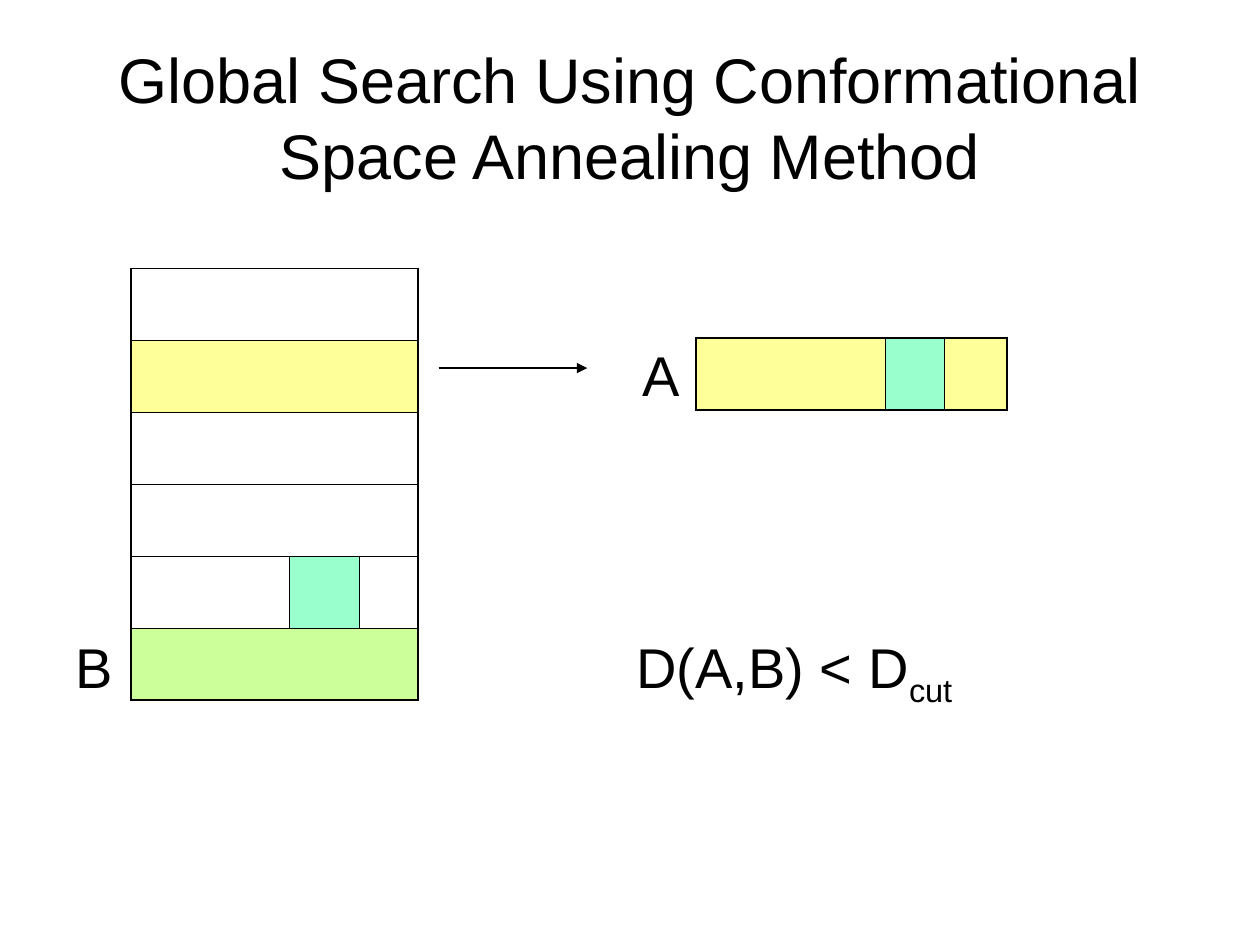
from dataclasses import dataclass

from pptx import Presentation
from pptx.dml.color import RGBColor
from pptx.enum.shapes import MSO_CONNECTOR
from pptx.enum.text import MSO_ANCHOR, MSO_AUTO_SIZE, PP_ALIGN
from pptx.oxml.ns import qn
from pptx.util import Cm, Pt
from lxml.etree import SubElement


@dataclass(frozen=True)
class Theme:
    font: str = "Arial"
    ink: str = "000000"
    yellow: str = "FFFF99"
    mint: str = "99FFCC"
    green: str = "CCFF99"
    title_size: float = 36
    text_size: float = 32
    outer_border: float = 1.08
    inner_border: float = 0.45
    arrow_width: float = 1


THEME = Theme()
ROW_HEIGHT = 1.45


def place(shape, left, top, width, height):
    shape.left, shape.top = Cm(left), Cm(top)
    shape.width, shape.height = Cm(width), Cm(height)


def add_run(paragraph, text, size, baseline=None):
    run = paragraph.add_run()
    run.text = text
    run.font.name = THEME.font
    run.font.size = Pt(size)
    run.font.color.rgb = RGBColor.from_string(THEME.ink)
    if baseline is not None:
        run.font._element.set("baseline", str(baseline))


def set_title(title, text):
    place(title, 1.27, 0.76, 22.86, 3.18)
    title.text_frame.auto_size = MSO_AUTO_SIZE.NONE
    title.text_frame.vertical_anchor = MSO_ANCHOR.MIDDLE
    paragraph = title.text_frame.paragraphs[0]
    paragraph.alignment = PP_ALIGN.CENTER
    add_run(paragraph, text, THEME.title_size)


def set_condition(body, text, subscript):
    place(body, 1.27, 4.45, 22.86, 12.57)
    frame = body.text_frame
    frame.auto_size = MSO_AUTO_SIZE.NONE
    frame.margin_left, frame.margin_top = Cm(11.56), Cm(8.3)
    paragraph = frame.paragraphs[0]
    properties = paragraph._p.get_or_add_pPr()
    properties.set("marL", "0")
    properties.set("indent", "0")
    SubElement(properties, qn("a:buNone"))
    paragraph.space_before = Pt(0)
    add_run(paragraph, text, THEME.text_size)
    add_run(paragraph, subscript, THEME.text_size, baseline=-25000)


def add_border(cell, side, width):
    line = SubElement(cell._tc.get_or_add_tcPr(), qn(f"a:ln{side}"), w=str(Pt(width)))
    fill = SubElement(line, qn("a:solidFill"))
    SubElement(fill, qn("a:srgbClr"), val=THEME.ink)


def format_cell(cell, edges, color):
    for side, is_outer in edges.items():
        add_border(cell, side, THEME.outer_border if is_outer else THEME.inner_border)
    if color:
        cell.fill.solid()
        cell.fill.fore_color.rgb = RGBColor.from_string(color)
    else:
        cell.fill.background()


def add_bank(slide, left, top, column_widths, rows):
    last_row, last_column = len(rows) - 1, len(column_widths) - 1
    frame = slide.shapes.add_table(
        len(rows), len(column_widths), Cm(left), Cm(top),
        Cm(sum(column_widths)), Cm(ROW_HEIGHT * len(rows)))
    table = frame.table
    table.first_row = table.horz_banding = False
    for column, width in zip(table.columns, column_widths):
        column.width = Cm(width)
    for row_index, colors in enumerate(rows):
        table.rows[row_index].height = Cm(ROW_HEIGHT)
        is_merged = len(colors) == 1
        if is_merged:
            table.cell(row_index, 0).merge(table.cell(row_index, last_column))
        for column_index in range(last_column + 1):
            edges = {
                "L": is_merged or column_index == 0,
                "R": is_merged or column_index == last_column,
                "T": row_index == 0,
                "B": row_index == last_row,
            }
            color = colors[0 if is_merged else column_index]
            format_cell(table.cell(row_index, column_index), edges, color)


def add_arrow(slide, start, end, height):
    arrow = slide.shapes.add_connector(
        MSO_CONNECTOR.STRAIGHT, Cm(start), Cm(height), Cm(end), Cm(height))
    arrow.line.color.rgb = RGBColor.from_string(THEME.ink)
    arrow.line.width = Pt(THEME.arrow_width)
    SubElement(arrow.line._get_or_add_ln(), qn("a:tailEnd"), type="triangle")
    SubElement(arrow._element.spPr, qn("a:effectLst"))


def add_label(slide, text, left, top):
    label = slide.shapes.add_textbox(Cm(left), Cm(top), Cm(1.19), Cm(1.63))
    label.text_frame.word_wrap = True
    add_run(label.text_frame.paragraphs[0], text, THEME.text_size)


def main():
    presentation = Presentation()
    presentation.slide_width, presentation.slide_height = Cm(25.4), Cm(19.05)
    slide = presentation.slides.add_slide(presentation.slide_layouts[1])
    set_title(slide.shapes.title, "Global Search Using Conformational Space Annealing Method")
    set_condition(slide.placeholders[1], "D(A,B) < D", "cut")
    bank_rows = [
        [None],
        [THEME.yellow],
        [None],
        [None],
        [None, THEME.mint, None],
        [THEME.green],
    ]
    add_bank(slide, 2.64, 5.41, [3.2, 1.4, 1.19], bank_rows)
    add_bank(slide, 14.03, 6.81, [3.81, 1.19, 1.27],
             [[THEME.yellow, THEME.mint, THEME.yellow]])
    add_arrow(slide, 8.84, 11.84, 7.42)
    add_label(slide, "A", 12.7, 6.73)
    add_label(slide, "B", 1.27, 12.62)
    presentation.save("out.pptx")


if __name__ == "__main__":
    main()
